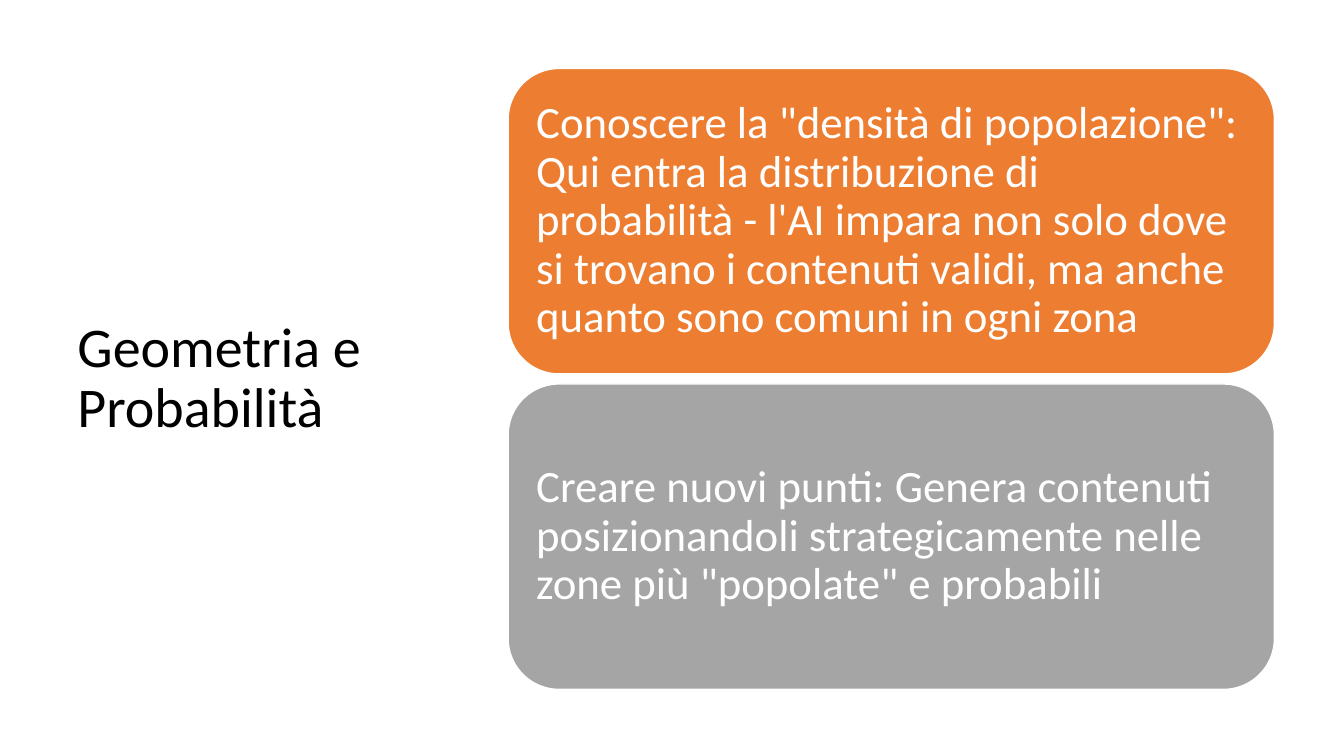
"""Build the slide on geometry and probability with two stacked cards."""
from dataclasses import dataclass

import pptx
import pptx.dml.color
import pptx.enum.shapes
import pptx.enum.text
import pptx.shapes.autoshape
import pptx.slide
import pptx.util
from pptx.util import Inches

BLACK = pptx.dml.color.RGBColor(0x00, 0x00, 0x00)
WHITE = pptx.dml.color.RGBColor(0xFF, 0xFF, 0xFF)
ORANGE = pptx.dml.color.RGBColor(0xED, 0x7D, 0x31)
GRAY = pptx.dml.color.RGBColor(0xA5, 0xA5, 0xA5)

CARD_LEFT, CARD_TOP = 5.04, 0.68
CARD_WIDTH, CARD_HEIGHT = 7.6, 3.03
CARD_GAP = 0.1


@dataclass
class Card:
    text: str
    fill: pptx.dml.color.RGBColor


CARDS = [
    Card(
        "Conoscere la \"densità di popolazione\": Qui entra la distribuzione di "
        "probabilità - l'AI impara non solo dove si trovano i contenuti validi, "
        "ma anche quanto sono comuni in ogni zona",
        ORANGE,
    ),
    Card(
        "Creare nuovi punti: Genera contenuti posizionandoli strategicamente "
        "nelle zone più \"popolate\" e probabili",
        GRAY,
    ),
]


def write_text(
    box: pptx.shapes.autoshape.Shape,
    text: str,
    *,
    size: float,
    color: pptx.dml.color.RGBColor,
    inset: float,
) -> None:
    frame = box.text_frame
    frame.word_wrap = True
    frame.vertical_anchor = pptx.enum.text.MSO_ANCHOR.MIDDLE
    frame.margin_left = frame.margin_right = Inches(inset)
    frame.margin_top = frame.margin_bottom = Inches(inset)
    para = frame.paragraphs[0]
    para.alignment = pptx.enum.text.PP_ALIGN.LEFT
    para.line_spacing = 0.9
    span = para.add_run()
    span.text = text
    span.font.name = "Calibri"
    span.font.size = pptx.util.Pt(size)
    span.font.color.rgb = color


def draw_card(slide: pptx.slide.Slide, card: Card, top: float) -> None:
    box = slide.shapes.add_shape(
        pptx.enum.shapes.MSO_SHAPE.ROUNDED_RECTANGLE,
        Inches(CARD_LEFT), Inches(top), Inches(CARD_WIDTH), Inches(CARD_HEIGHT),
    )
    box.shadow.inherit = False
    box.fill.solid()
    box.fill.fore_color.rgb = card.fill
    box.line.color.rgb = WHITE
    box.line.width = pptx.util.Pt(1)
    write_text(box, card.text, size=32, color=WHITE, inset=0.13)


def main() -> None:
    deck = pptx.Presentation()
    deck.slide_width, deck.slide_height = Inches(13.33), Inches(7.5)
    slide = deck.slides.add_slide(deck.slide_layouts[6])
    title = slide.shapes.add_textbox(
        Inches(0.67), Inches(0.6), Inches(3.82), Inches(6.33)
    )
    write_text(title, "Geometria e Probabilità", size=40, color=BLACK, inset=0.1)
    for index, card in enumerate(CARDS):
        draw_card(slide, card, CARD_TOP + index * (CARD_HEIGHT + CARD_GAP))
    deck.save("out.pptx")


if __name__ == "__main__":
    main()
